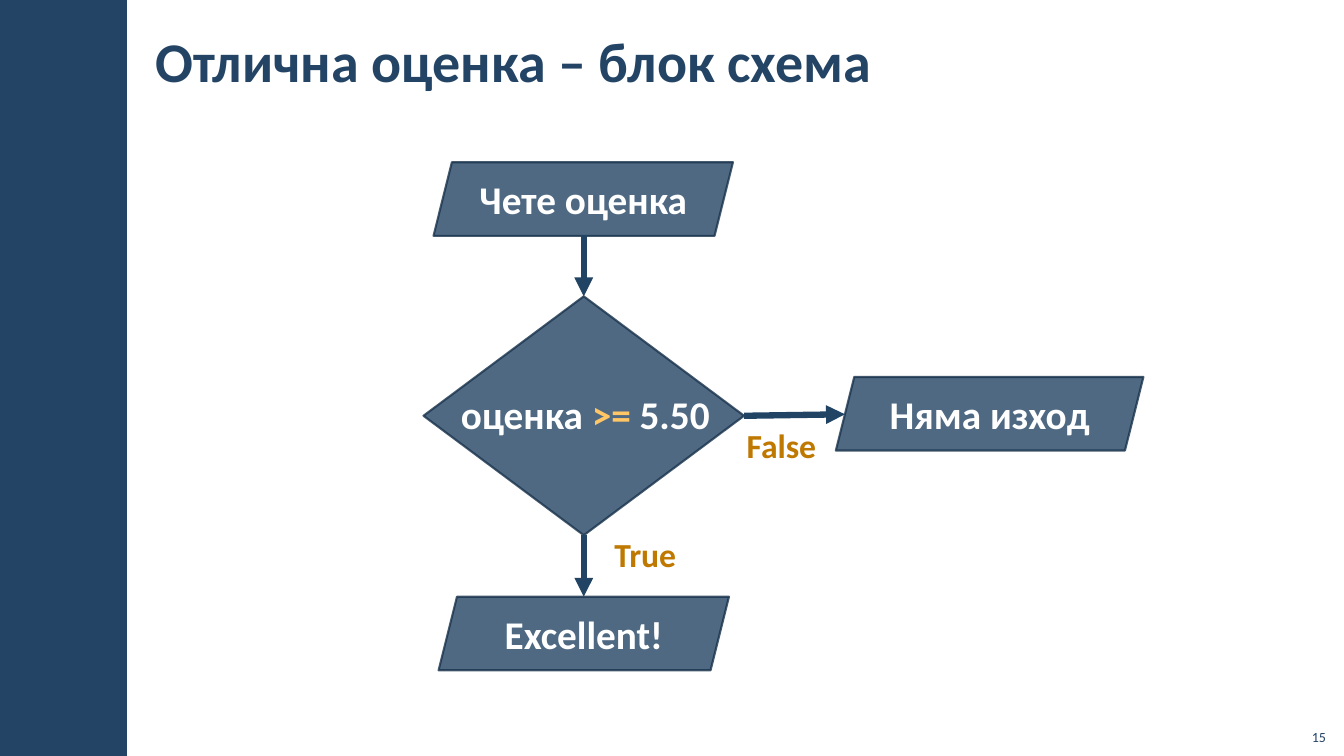
from dataclasses import dataclass

from lxml.etree import SubElement
from pptx import Presentation
from pptx.dml.color import RGBColor
from pptx.enum.shapes import MSO_CONNECTOR, MSO_SHAPE
from pptx.enum.text import MSO_ANCHOR, PP_ALIGN
from pptx.oxml.ns import qn
from pptx.util import Pt

PX = 9144


@dataclass(frozen=True)
class Theme:
    """Colours, type sizes and line widths of the slide."""

    font: str = "Calibri"
    navy: str = "234465"
    outline: str = "1A334C"
    arrow: str = "214364"
    white: str = "FFFFFF"
    operator: str = "FFC666"
    answer: str = "BF7800"
    title_size: int = 40
    step_size: int = 28
    answer_size: int = 24
    number_size: int = 10
    outline_width: float = 1.5
    arrow_width: float = 4.5
    opacity: int = 80


THEME = Theme()


def px(*lengths):
    """Turn px lengths into EMU."""
    return [length * PX for length in lengths]


def rgb(color):
    """Return the colour for a hex string."""
    return RGBColor.from_string(color)


def set_opacity(fill_parent):
    """Make the solid fill below an XML element partly transparent."""
    color = fill_parent.find(qn("a:solidFill"))[0]
    SubElement(color, qn("a:alpha")).set("val", str(THEME.opacity * 1000))


def format_paragraph(paragraph, size, color, bold=True, align=PP_ALIGN.CENTER):
    """Set the font and alignment of a paragraph."""
    paragraph.alignment = align
    paragraph.font.name = THEME.font
    paragraph.font.size = Pt(size)
    paragraph.font.bold = bold
    paragraph.font.color.rgb = rgb(color)


def add_side_bar(slide):
    """Add the solid bar along the left edge."""
    bar = slide.shapes.add_shape(MSO_SHAPE.RECTANGLE, *px(0, 0, 126, 750))
    bar.shadow.inherit = False
    bar.fill.solid()
    bar.fill.fore_color.rgb = rgb(THEME.navy)
    bar.line.fill.background()


def add_title(slide, text):
    """Place and format the title placeholder."""
    title = slide.shapes.title
    title.left, title.top, title.width, title.height = px(142, 11, 1002, 97)
    frame = title.text_frame
    frame.text = text
    frame.vertical_anchor = MSO_ANCHOR.MIDDLE
    frame.margin_left, frame.margin_right = px(12, 12)
    frame.margin_top, frame.margin_bottom = px(4, 4)
    format_paragraph(frame.paragraphs[0], THEME.title_size, THEME.navy, align=PP_ALIGN.LEFT)


def add_step(slide, kind, box, text=""):
    """Add a translucent flowchart shape."""
    step = slide.shapes.add_shape(kind, *px(*box))
    step.shadow.inherit = False
    step.fill.solid()
    step.fill.fore_color.rgb = rgb(THEME.navy)
    step.line.color.rgb = rgb(THEME.outline)
    step.line.width = Pt(THEME.outline_width)
    properties = step.element.spPr
    set_opacity(properties)
    set_opacity(properties.find(qn("a:ln")))
    if text:
        frame = step.text_frame
        frame.word_wrap = False
        frame.vertical_anchor = MSO_ANCHOR.MIDDLE
        frame.text = text
        format_paragraph(frame.paragraphs[0], THEME.step_size, THEME.white)
    return step


def add_condition(slide, box, left, operator, right):
    """Add the condition text with a highlighted operator."""
    frame = slide.shapes.add_textbox(*px(*box)).text_frame
    frame.word_wrap = True
    paragraph = frame.paragraphs[0]
    format_paragraph(paragraph, THEME.step_size, THEME.white)
    for text, color in ((left, THEME.white), (operator, THEME.operator), (right, THEME.white)):
        run = paragraph.add_run()
        run.text = text
        run.font.color.rgb = rgb(color)


def add_answer(slide, left, top, text):
    """Add the label of a branch."""
    frame = slide.shapes.add_textbox(*px(left, top, 108, 66)).text_frame
    frame.word_wrap = True
    frame.margin_left, frame.margin_right = px(16, 16)
    frame.margin_top, frame.margin_bottom = px(12, 12)
    frame.text = text
    format_paragraph(frame.paragraphs[0], THEME.answer_size, THEME.answer)
    frame.paragraphs[0].line_spacing = 1.1


def add_arrow(slide, start, end):
    """Add a straight arrow between two points."""
    arrow = slide.shapes.add_connector(MSO_CONNECTOR.STRAIGHT, *px(*start, *end))
    arrow.line.color.rgb = rgb(THEME.arrow)
    arrow.line.width = Pt(THEME.arrow_width)
    properties = arrow.element.spPr
    SubElement(properties.find(qn("a:ln")), qn("a:tailEnd")).set("type", "triangle")
    SubElement(properties, qn("a:effectLst"))
    return arrow


def add_slide_number(slide, text):
    """Add the page number in the lower right corner."""
    frame = slide.shapes.add_textbox(*px(1285, 712, 40, 32)).text_frame
    frame.word_wrap = True
    frame.vertical_anchor = MSO_ANCHOR.BOTTOM
    frame.text = text
    format_paragraph(frame.paragraphs[0], THEME.number_size, THEME.navy, False, PP_ALIGN.RIGHT)


def main():
    """Build the flowchart slide and save it."""
    presentation = Presentation()
    presentation.slide_width, presentation.slide_height = px(1333, 750)
    slide = presentation.slides.add_slide(presentation.slide_layouts[5])
    add_side_bar(slide)
    add_title(slide, "Отлична оценка – блок схема")

    add_step(slide, MSO_SHAPE.PARALLELOGRAM, (430, 161, 297, 73), "Чете оценка")
    decision = add_step(slide, MSO_SHAPE.DIAMOND, (420, 294, 318, 237))
    add_condition(slide, (428, 382, 305, 57), "оценка ", ">=", " 5.50")
    add_answer(slide, 586, 514, "True")
    add_answer(slide, 721, 406, "False")
    add_step(slide, MSO_SHAPE.PARALLELOGRAM, (435, 592, 288, 73), "Excellent!")
    add_step(slide, MSO_SHAPE.PARALLELOGRAM, (829, 374, 305, 73), "Няма изход")

    add_arrow(slide, (579, 233), (579, 294)).end_connect(decision, 0)
    add_arrow(slide, (579, 531), (579, 592)).begin_connect(decision, 2)
    add_arrow(slide, (738, 412), (838, 411)).begin_connect(decision, 3)
    add_slide_number(slide, "15")
    presentation.save("out.pptx")


if __name__ == "__main__":
    main()
